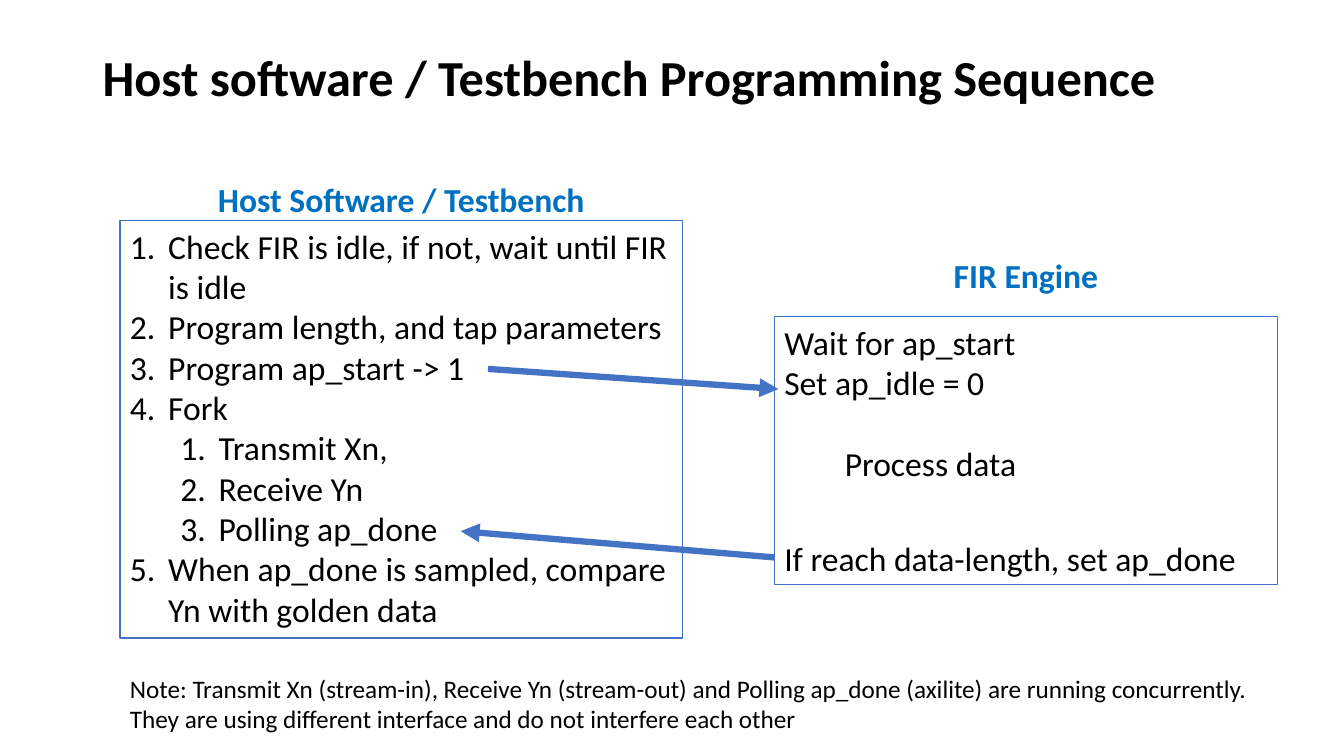
from dataclasses import dataclass
from typing import Any

from lxml import etree
from pptx import Presentation
from pptx import util as u
from pptx.dml.color import RGBColor
from pptx.enum import shapes, text
from pptx.oxml import ns

BLACK = RGBColor(0x00, 0x00, 0x00)
WHITE = RGBColor(0xFF, 0xFF, 0xFF)
BORDER_BLUE = RGBColor(0x44, 0x72, 0xC4)
HEADING_BLUE = RGBColor(0x00, 0x70, 0xC0)

FONT_NAME = "Calibri"
HOST_LEFT, HOST_WIDTH = 1.19, 5.58
ENGINE_LEFT, ENGINE_WIDTH = 7.68, 4.99
NUMBER_HANG = 0.38
LEVEL_INDENT = 0.5


@dataclass(frozen=True)
class Line:
    wording: str
    level: int = 0
    numbered: bool = False
    indent: float = 0
    gap: float = 0


@dataclass(frozen=True)
class Block:
    left: float
    top: float
    width: float
    height: float
    lines: tuple[Line, ...]
    size: float = 24
    color: RGBColor = BLACK
    bold: bool = False
    centered: bool = False
    framed: bool = False
    title: bool = False


@dataclass(frozen=True)
class Arrow:
    start: tuple[float, float]
    end: tuple[float, float]


HOST_STEPS = (
    Line("Check FIR is idle, if not, wait until FIR is idle", numbered=True),
    Line("Program length, and tap parameters", numbered=True),
    Line("Program ap_start -> 1", numbered=True),
    Line("Fork", numbered=True),
    Line("Transmit Xn,", level=1, numbered=True),
    Line("Receive Yn", level=1, numbered=True),
    Line("Polling ap_done", level=1, numbered=True),
    Line("When ap_done is sampled, compare Yn with golden data", numbered=True),
)
ENGINE_STEPS = (
    Line("Wait for ap_start"),
    Line("Set ap_idle = 0"),
    Line("Process data", indent=0.6, gap=29),
    Line("If reach data-length, set ap_done", gap=39),
)
NOTE = (
    "Note: Transmit Xn (stream-in), Receive Yn (stream-out) and Polling ap_done "
    "(axilite) are running concurrently. They are using different interface and "
    "do not interfere each other"
)

BLOCKS = (
    Block(0.92, 0.4, 11.5, 0.8, (Line("Host software / Testbench Programming Sequence"),),
          size=36, bold=True, title=True),
    Block(HOST_LEFT, 2.19, HOST_WIDTH, 4.14, HOST_STEPS, framed=True),
    Block(ENGINE_LEFT, 3.14, ENGINE_WIDTH, 2.66, ENGINE_STEPS, framed=True),
    Block(HOST_LEFT, 1.73, HOST_WIDTH, 0.5, (Line("Host Software / Testbench"),),
          color=HEADING_BLUE, bold=True, centered=True),
    Block(ENGINE_LEFT, 2.48, ENGINE_WIDTH, 0.5, (Line("FIR Engine"),),
          color=HEADING_BLUE, bold=True, centered=True),
    Block(HOST_LEFT, 6.63, 11.47, 0.71, (Line(NOTE),), size=18),
)
ARROWS = (
    Arrow((4.84, 3.66), (7.72, 3.86)),
    Arrow((7.68, 5.53), (4.57, 5.27)),
)


def apply_format(target: Any, values: dict[str, Any]) -> None:
    for name, value in values.items():
        setattr(target, name, value)


def write_line(paragraph: Any, line: Line, block: Block) -> None:
    properties = paragraph._p.get_or_add_pPr()
    indent = line.indent
    if line.numbered:
        indent = NUMBER_HANG + LEVEL_INDENT * line.level
        properties.set("indent", str(-u.Inches(NUMBER_HANG)))
        etree.SubElement(properties, ns.qn("a:buFont"), typeface="+mj-lt")
        etree.SubElement(properties, ns.qn("a:buAutoNum"), type="arabicPeriod")
    properties.set("marL", str(u.Inches(indent)))
    apply_format(paragraph, {
        "level": line.level,
        "alignment": text.PP_ALIGN.CENTER if block.centered else text.PP_ALIGN.LEFT,
        "line_spacing": 0.9 if block.title else 1.0,
    })
    if line.gap:
        paragraph.space_before = u.Pt(line.gap)
    run = paragraph.add_run()
    run.text = line.wording
    apply_format(run.font, {"name": FONT_NAME, "size": u.Pt(block.size), "bold": block.bold})
    run.font.color.rgb = block.color


def draw_block(slide: Any, block: Block) -> None:
    bounds = [u.Inches(value) for value in (block.left, block.top, block.width, block.height)]
    if block.framed:
        shape = slide.shapes.add_shape(shapes.MSO_SHAPE.RECTANGLE, *bounds)
        shape.shadow.inherit = False
        shape.fill.solid()
        shape.fill.fore_color.rgb = WHITE
        shape.line.color.rgb = BORDER_BLUE
        shape.line.width = u.Pt(1)
    else:
        shape = slide.shapes.add_textbox(*bounds)
    frame = shape.text_frame
    apply_format(frame, {
        "word_wrap": True,
        "auto_size": text.MSO_AUTO_SIZE.NONE if block.title
        else text.MSO_AUTO_SIZE.SHAPE_TO_FIT_TEXT,
        "vertical_anchor": text.MSO_ANCHOR.MIDDLE if block.title else text.MSO_ANCHOR.TOP,
    })
    for index, line in enumerate(block.lines):
        paragraph = frame.add_paragraph() if index else frame.paragraphs[0]
        write_line(paragraph, line, block)


def draw_arrow(slide: Any, arrow: Arrow) -> None:
    points = [u.Inches(value) for value in arrow.start + arrow.end]
    connector = slide.shapes.add_connector(shapes.MSO_CONNECTOR.STRAIGHT, *points)
    connector.line.color.rgb = BORDER_BLUE
    connector.line.width = u.Pt(4.5)
    outline = connector.line._get_or_add_ln()
    etree.SubElement(outline, ns.qn("a:tailEnd"), type="triangle")
    etree.SubElement(connector._element.spPr, ns.qn("a:effectLst"))


def main() -> None:
    presentation = Presentation()
    apply_format(presentation, {
        "slide_width": u.Inches(13.33),
        "slide_height": u.Inches(7.5),
    })
    slide = presentation.slides.add_slide(presentation.slide_layouts[6])
    framed_last = 3
    for block in BLOCKS[:framed_last]:
        draw_block(slide, block)
    for arrow in ARROWS:
        draw_arrow(slide, arrow)
    for block in BLOCKS[framed_last:]:
        draw_block(slide, block)
    presentation.save("out.pptx")


if __name__ == "__main__":
    main()
